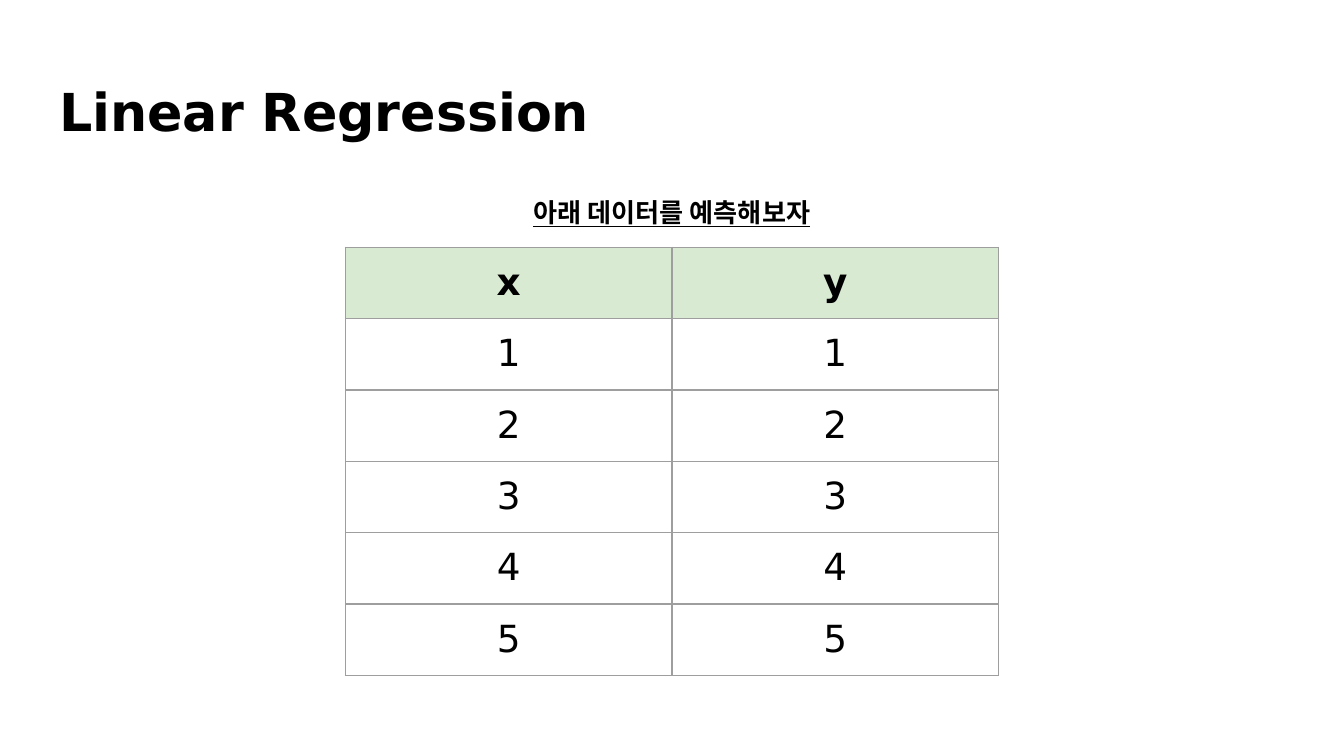
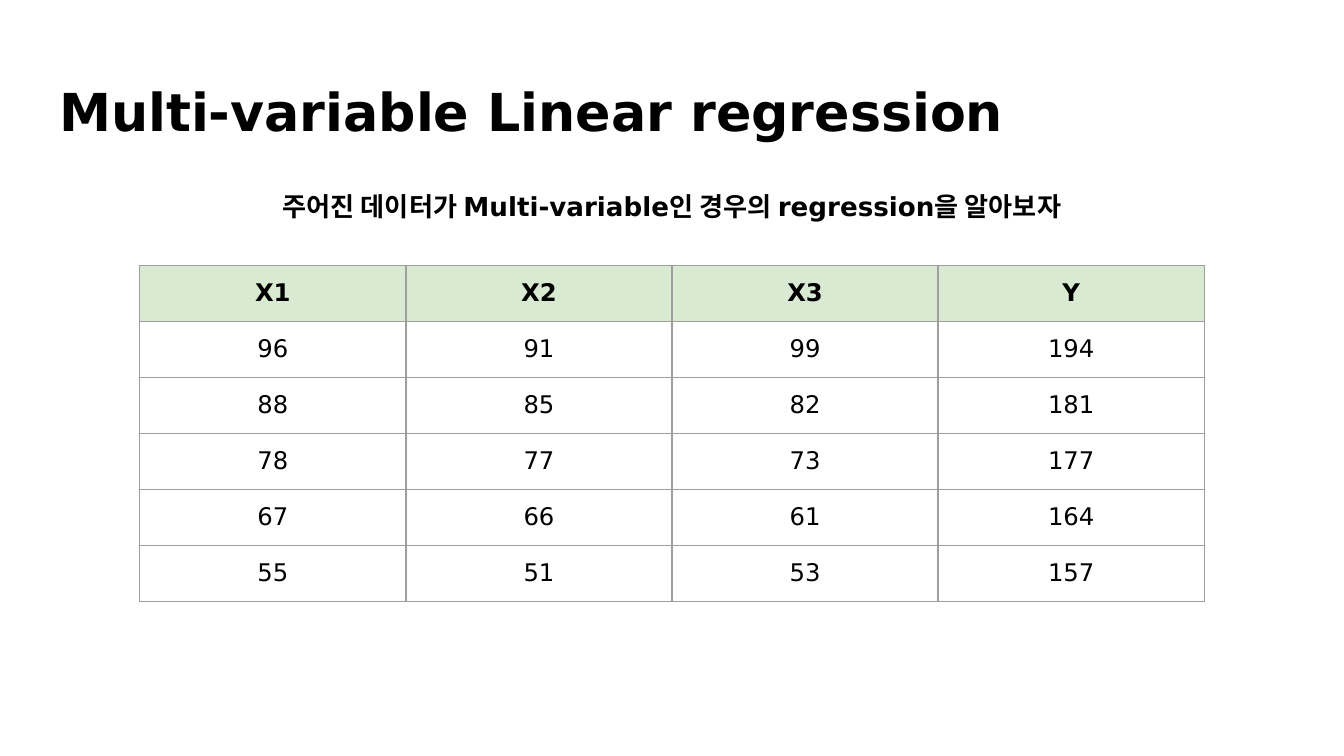
from lxml import etree
from pptx import Presentation
from pptx.dml.color import RGBColor
from pptx.enum.text import MSO_ANCHOR, MSO_AUTO_SIZE, PP_ALIGN
from pptx.oxml.ns import qn
from pptx.util import Inches, Pt

LEFT, CENTER = PP_ALIGN.LEFT, PP_ALIGN.CENTER
TOP, MIDDLE = MSO_ANCHOR.TOP, MSO_ANCHOR.MIDDLE
NO_FIT = MSO_AUTO_SIZE.NONE

BLACK = RGBColor(0x00, 0x00, 0x00)
WHITE = RGBColor(0xFF, 0xFF, 0xFF)
HEADER_GREEN = RGBColor(0xD9, 0xEA, 0xD3)
BORDER_GRAY = RGBColor(0x9E, 0x9E, 0x9E)

FONT = "DejaVu Sans"
COLS, ROWS = 100, 56.25
TITLE_ONLY = 5
INSET = Inches(0.1)
BORDER_WIDTH = Pt(0.75)


class Deck:
    def __init__(self):
        self.prs = Presentation()
        self.prs.slide_width = Inches(10)
        self.prs.slide_height = Inches(5.625)
        self.s = None

    def x(self, cols):
        return round(self.prs.slide_width * cols / COLS)

    def y(self, rows):
        return round(self.prs.slide_height * rows / ROWS)

    def box(self, left, top, width, height):
        return self.x(left), self.y(top), self.x(width), self.y(height)

    def text(self, tf, content, align, spacing=None, **font):
        p = tf.paragraphs[0]
        p.alignment = align
        if spacing:
            p.line_spacing = spacing
        r = p.add_run()
        r.text = content
        r.font.color.rgb = BLACK
        for name, value in {"name": FONT, **font}.items():
            setattr(r.font, name, value)

    def frame(self, sp, anchor):
        tf = sp.text_frame
        values = dict(word_wrap=True, auto_size=NO_FIT, vertical_anchor=anchor,
                      margin_left=INSET, margin_right=INSET,
                      margin_top=INSET, margin_bottom=INSET)
        for name, value in values.items():
            setattr(tf, name, value)
        return tf

    def slide(self, title):
        self.s = self.prs.slides.add_slide(self.prs.slide_layouts[TITLE_ONLY])
        sp = self.s.shapes.title
        sp.left, sp.top, sp.width, sp.height = self.box(3.4, 4.9, 93.2, 6.3)
        self.text(self.frame(sp, TOP), title, LEFT, size=Pt(28), bold=True)

    def caption(self, content, top, width, height, spacing, underline=None):
        left = (COLS - width) / 2
        sp = self.s.shapes.add_textbox(*self.box(left, top, width, height))
        self.text(self.frame(sp, MIDDLE), content, CENTER, spacing,
                  size=Pt(14), bold=True, underline=underline)

    def borders(self, cell):
        tc_pr = cell._tc.get_or_add_tcPr()
        for i, side in enumerate(("lnL", "lnR", "lnT", "lnB")):
            ln = etree.Element(qn(f"a:{side}"), w=str(BORDER_WIDTH))
            fill = etree.SubElement(ln, qn("a:solidFill"))
            etree.SubElement(fill, qn("a:srgbClr"), val=str(BORDER_GRAY))
            tc_pr.insert(i, ln)

    def table(self, data, top, col_width, row_height, size):
        n_rows, n_cols = len(data), len(data[0])
        width, height = n_cols * col_width, n_rows * row_height
        left = (COLS - width) / 2
        table = self.s.shapes.add_table(
            n_rows, n_cols, *self.box(left, top, width, height)).table
        table.first_row = table.horz_banding = False
        for i, values in enumerate(data):
            header = i == 0
            for j, value in enumerate(values):
                cell = table.cell(i, j)
                for side in ("left", "right", "top", "bottom"):
                    setattr(cell, f"margin_{side}", INSET)
                cell.fill.solid()
                cell.fill.fore_color.rgb = HEADER_GREEN if header else WHITE
                self.borders(cell)
                self.text(cell.text_frame, str(value), CENTER,
                          size=Pt(size), bold=header)


def main():
    deck = Deck()

    deck.slide("Linear Regression")
    deck.table([("x", "y")] + [(n, n) for n in range(1, 6)],
               top=18.4, col_width=24.3, row_height=5.31, size=20)
    deck.caption("아래 데이터를 예측해보자", top=13.6, width=28.4, height=3.2,
                 spacing=1.5, underline=True)

    deck.slide("Multi-variable Linear regression")
    scores = [
        ("X1", "X2", "X3", "Y"),
        (96, 91, 99, 194),
        (88, 85, 82, 181),
        (78, 77, 73, 177),
        (67, 66, 61, 164),
        (55, 51, 53, 157),
    ]
    deck.table(scores, top=19.75, col_width=19.8, row_height=4.17, size=13)
    deck.caption("주어진 데이터가 Multi-variable인 경우의 regression을 알아보자",
                 top=11.6, width=76.8, height=7.1, spacing=1.15)

    deck.prs.save("out.pptx")


if __name__ == "__main__":
    main()
